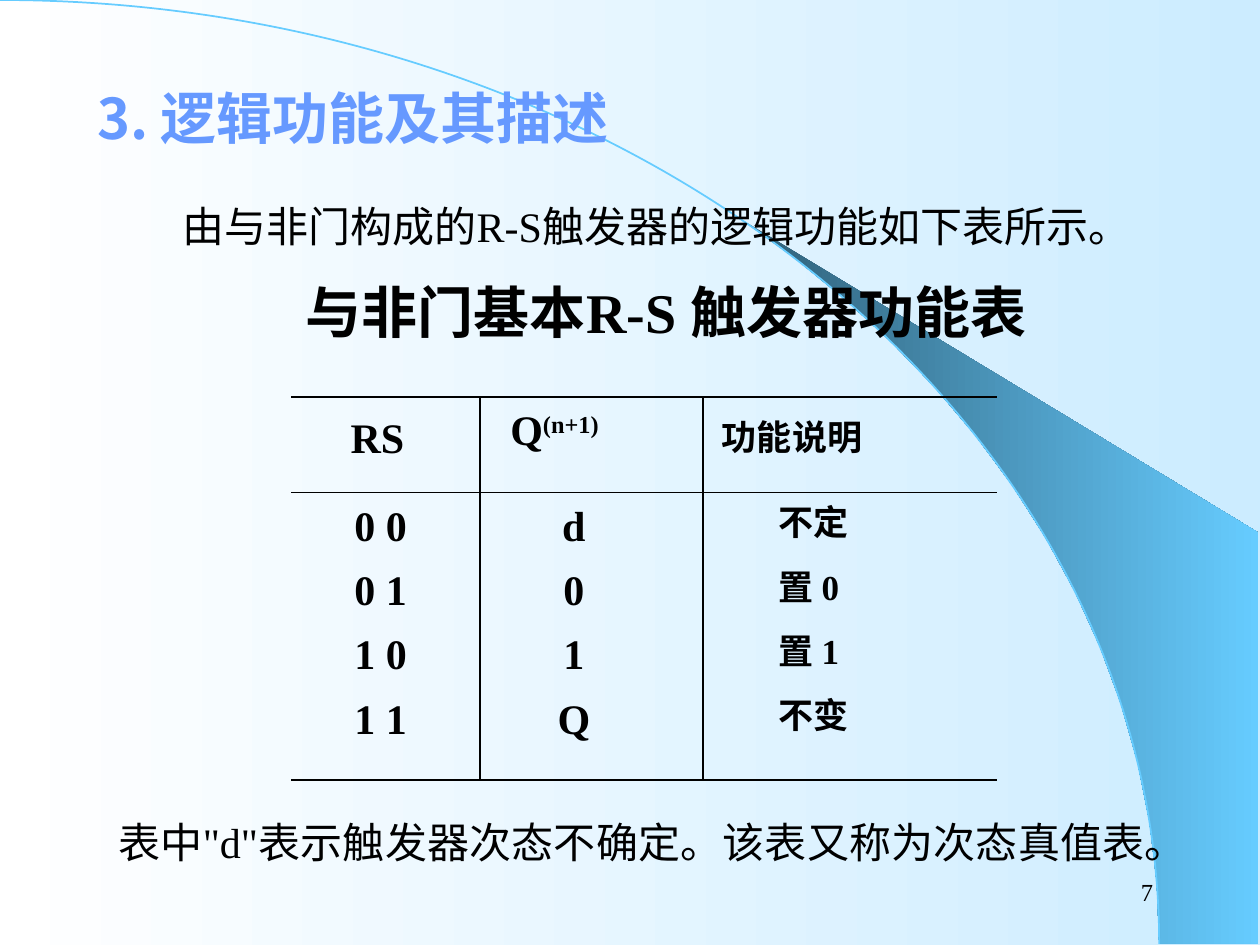
from itertools import accumulate

from lxml import etree
from pptx import Presentation
from pptx.dml.color import RGBColor
from pptx.enum.shapes import MSO_CONNECTOR
from pptx.enum.text import MSO_ANCHOR, MSO_AUTO_SIZE, PP_ALIGN
from pptx.oxml.ns import qn
from pptx.util import Inches, Pt

LEFT, CENTER = PP_ALIGN.LEFT, PP_ALIGN.CENTER
RIGHT, JUSTIFY = PP_ALIGN.RIGHT, PP_ALIGN.JUSTIFY
TOP, MIDDLE = MSO_ANCHOR.TOP, MSO_ANCHOR.MIDDLE
STRAIGHT = MSO_CONNECTOR.STRAIGHT

WHITE = RGBColor(0xFF, 0xFF, 0xFF)
PALE_BLUE = RGBColor(0xCC, 0xEC, 0xFF)
SKY_BLUE = RGBColor(0x66, 0xCC, 0xFF)
DEEP_BLUE = RGBColor(0x2F, 0x5E, 0x76)
TITLE_BLUE = RGBColor(0x66, 0x99, 0xFF)
BLACK = RGBColor(0, 0, 0)

FONT = "Times New Roman"
SLIDE_WIDTH, SLIDE_HEIGHT = 10, 7.5
PLAIN_TABLE_STYLE = "{2D5ABB26-0587-4C30-8999-92F81FD0307C}"

# Control points of the backdrop's arc, as shares of its box.
ARC_CONTROLS = ((0, 0), (0.55, 0), (1, 0.45), (1, 1))

COLUMN_WIDTHS = (1.5, 1.77, 2.33)
ROW_HEIGHTS = (0.76, 0.51, 0.51, 0.51, 0.75)
HEADER = ("RS", "Q", "功能说明")
ROWS = (
    ("0 0", "d", "不定"),
    ("0 1", "0", "置 0"),
    ("1 0", "1", "置 1"),
    ("1 1", "Q", "不变"),
)
TEXT_SIZES = (24, 24, 20)
# Alignment, then left, top and right margin in inches, for each column.
HEADER_FORMATS = ((CENTER, 0, 0.15, 0.13), (LEFT, 0.24, 0.09, 0), (LEFT, 0.15, 0.1, 0))
BODY_FORMATS = ((CENTER, 0, 0.09, 0.08), (CENTER, 0, 0.09, 0.28), (LEFT, 0.6, 0.02, 0))


def add_span(para, text, size=24, color=BLACK, bold=False):
    span = para.add_run()
    span.text = text
    span.font.name, span.font.size = FONT, Pt(size)
    span.font.bold, span.font.color.rgb = bold, color
    return span


def write(shape, box, text, align=LEFT, anchor=TOP, indent=0, **span_format):
    """Place a text shape in its box and give it one formatted paragraph."""
    shape.left, shape.top, shape.width, shape.height = map(Inches, box)
    frame = shape.text_frame
    frame.word_wrap = True
    frame.auto_size = MSO_AUTO_SIZE.NONE
    frame.vertical_anchor = anchor
    para = frame.paragraphs[0]
    para.alignment = align
    para.space_before = Pt(0)
    add_span(para, text, **span_format)
    properties = para._p.get_or_add_pPr()
    properties.set("marL", "0")
    properties.set("indent", str(Inches(indent)))
    etree.SubElement(properties, qn("a:buNone"))
    return para


def add_text(page, box, text, **text_format):
    return write(page.shapes.add_textbox(0, 0, 0, 0), box, text, **text_format)


def number_paragraph(para, start, hanging):
    properties = para._p.get_or_add_pPr()
    properties.set("marL", str(Inches(hanging)))
    properties.set("indent", str(-Inches(hanging)))
    properties.remove(properties.find(qn("a:buNone")))
    number = etree.SubElement(properties, qn("a:buAutoNum"))
    number.set("type", "arabicPeriod")
    number.set("startAt", str(start))


def fill_gradient(fill, start, end):
    fill.gradient()
    fill.gradient_angle = 0
    for stop, color in zip(fill.gradient_stops, (start, end)):
        stop.color.rgb = color


def arc_share(t):
    """Point of the arc at parameter t, as shares of its box."""
    u = 1 - t
    weights = (u ** 3, 3 * u * u * t, 3 * u * t * t, t ** 3)
    return tuple(sum(w * point[axis] for w, point in zip(weights, ARC_CONTROLS))
                 for axis in (0, 1))


def add_outline(page, points, close):
    builder = page.shapes.build_freeform(*points[0])
    builder.add_line_segments(points[1:], close=close)
    shape = builder.convert_to_shape()
    shape.shadow.inherit = False
    return shape


def bend_to_curve(shape):
    """Turn the three line segments of an outline into one Bezier curve."""
    segments = list(shape.element.iter(qn("a:lnTo")))
    curve = etree.SubElement(segments[0].getparent(), qn("a:cubicBezTo"))
    for segment in segments:
        curve.append(segment[0])
        segment.getparent().remove(segment)


def draw_backdrop(page, box):
    left, top, width, height = box

    def place(share):
        return Inches(left + width * share[0]), Inches(top + height * share[1])

    fill_gradient(page.background.fill, WHITE, PALE_BLUE)
    start, steps = 0.44, 14
    inner_edge = [place(arc_share(start + (1 - start) * step / steps))
                  for step in range(steps + 1)]
    corners = [(Inches(9.99), Inches(y)) for y in (top + height, 4.23)]
    swoosh = add_outline(page, inner_edge + corners, True)
    fill_gradient(swoosh.fill, DEEP_BLUE, SKY_BLUE)
    swoosh.line.fill.background()

    arc = add_outline(page, [place(share) for share in ARC_CONTROLS], False)
    bend_to_curve(arc)
    arc.fill.background()
    arc.line.color.rgb = SKY_BLUE
    arc.line.width = Pt(1)

    # Send both behind the placeholders, after the two group property elements.
    tree = swoosh.element.getparent()
    for position, shape in enumerate((swoosh, arc), start=2):
        tree.insert(position, shape.element)


def add_rule(page, *ends):
    rule = page.shapes.add_connector(STRAIGHT, *map(Inches, ends))
    rule.line.color.rgb = BLACK
    rule.line.width = Pt(0.75)
    etree.SubElement(rule.element.spPr, qn("a:effectLst"))


def add_function_table(page, left, top):
    width, height = sum(COLUMN_WIDTHS), sum(ROW_HEIGHTS)
    frame = page.shapes.add_table(
        len(ROW_HEIGHTS), len(COLUMN_WIDTHS), *map(Inches, (left, top, width, height)))
    table = frame.table
    table.first_row = table.horz_banding = False
    table._tbl.tblPr.find(qn("a:tableStyleId")).text = PLAIN_TABLE_STYLE
    for column, column_width in zip(table.columns, COLUMN_WIDTHS):
        column.width = Inches(column_width)
    for row, row_height in zip(table.rows, ROW_HEIGHTS):
        row.height = Inches(row_height)

    for r, values in enumerate((HEADER, *ROWS)):
        formats = BODY_FORMATS if r else HEADER_FORMATS
        for c, value in enumerate(values):
            cell = table.cell(r, c)
            align, margin_left, margin_top, margin_right = formats[c]
            cell.margin_left, cell.margin_right = Inches(margin_left), Inches(margin_right)
            cell.margin_top, cell.margin_bottom = Inches(margin_top), 0
            cell.fill.background()
            para = cell.text_frame.paragraphs[0]
            para.alignment = align
            add_span(para, value, size=TEXT_SIZES[c], bold=True)

    exponent = add_span(table.cell(0, 1).text_frame.paragraphs[0], "(n+1)", bold=True)
    exponent.font._element.set("baseline", "30000")

    for offset in (0, ROW_HEIGHTS[0], height):
        add_rule(page, left, top + offset, left + width, top + offset)
    for offset in accumulate(COLUMN_WIDTHS[:-1]):
        add_rule(page, left + offset, top, left + offset, top + height)


def build_slide(deck):
    page = deck.slides.add_slide(deck.slide_layouts[1])
    title, body = page.placeholders
    draw_backdrop(page, (0, 0, 9.2, 7.49))
    heading = write(title, (0.67, 0.61, 8.92, 0.75), "逻辑功能及其描述",
                    align=JUSTIFY, size=32, color=TITLE_BLUE, bold=True)
    number_paragraph(heading, start=3, hanging=0.5)
    write(body, (1.35, 1.54, 8.24, 0.55),
          "由与非门构成的R-S触发器的逻辑功能如下表所示。", align=JUSTIFY)
    add_text(page, (2.33, 2.15, 6.3, 0.64), "与非门基本R-S 触发器功能表",
             size=32, bold=True)
    add_function_table(page, 2.31, 3.15)
    add_text(page, (0.67, 6.43, 8.52, 0.9),
             "表中\"d\"表示触发器次态不确定。该表又称为次态真值表。",
             align=JUSTIFY, indent=0.17)
    add_text(page, (7.17, 6.83, 2.08, 0.5), "7", align=RIGHT, anchor=MIDDLE, size=14)


def main():
    deck = Presentation()
    deck.slide_width, deck.slide_height = Inches(SLIDE_WIDTH), Inches(SLIDE_HEIGHT)
    build_slide(deck)
    deck.save("out.pptx")


if __name__ == "__main__":
    main()
